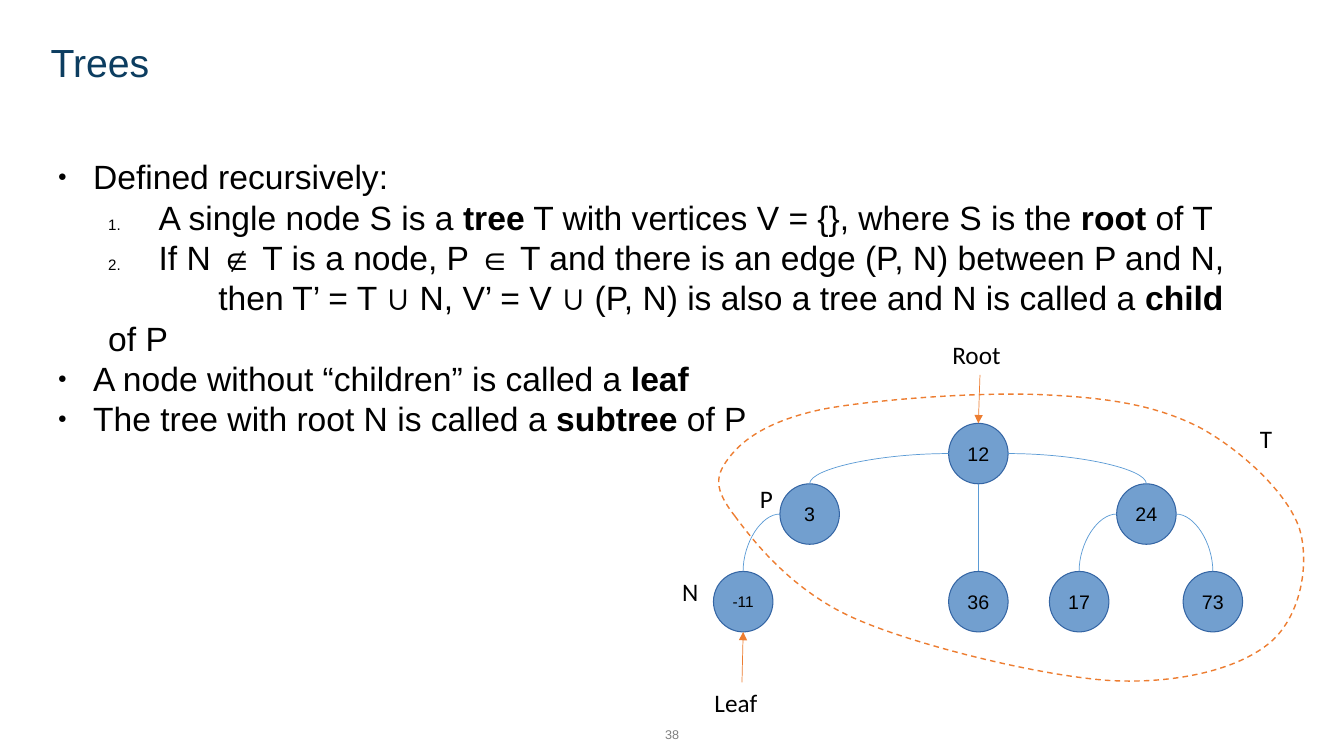
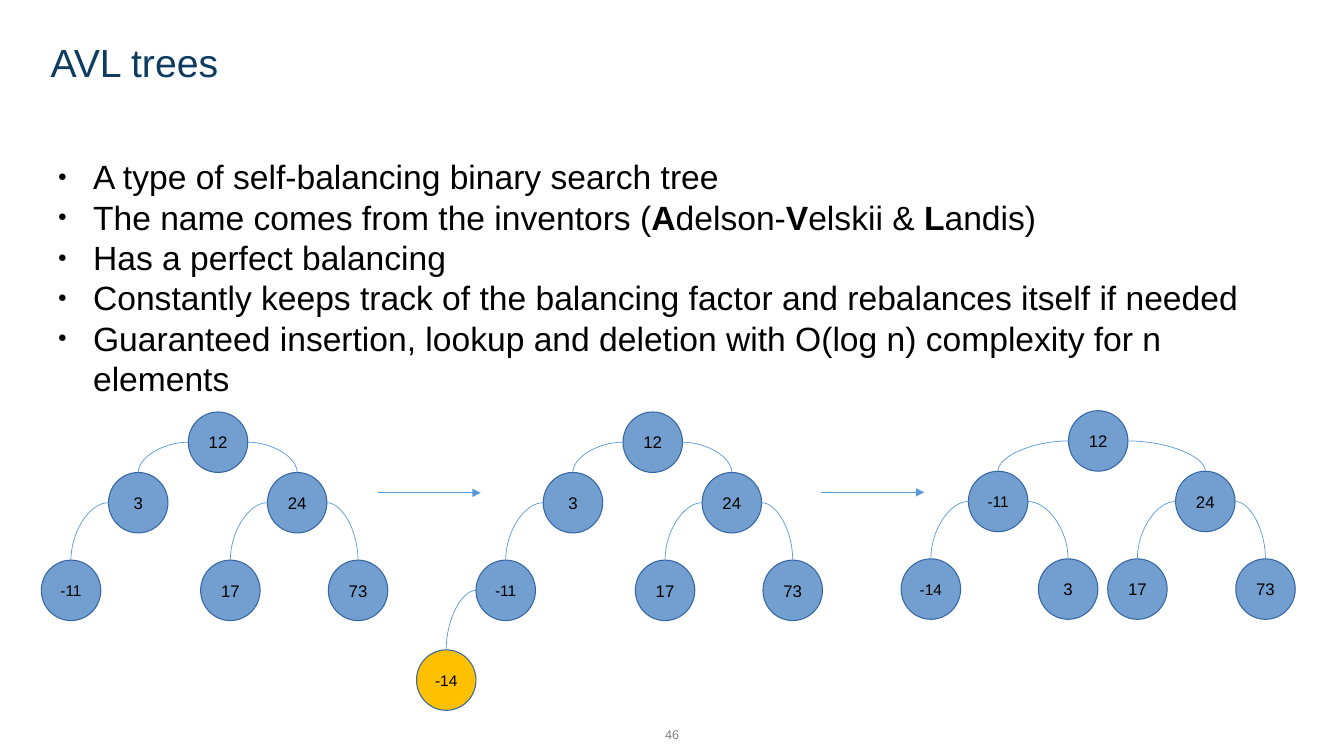
"""Build two slides on trees: the recursive definition and AVL rebalancing."""
from dataclasses import dataclass

from lxml.etree import SubElement
from pptx import Presentation
from pptx.dml.color import RGBColor
from pptx.enum.dml import MSO_LINE
from pptx.enum.shapes import MSO_CONNECTOR as LINK, MSO_SHAPE
from pptx.enum.text import MSO_ANCHOR as ANCHOR, PP_ALIGN as ALIGN
from pptx.oxml.ns import qn
from pptx.util import Pt


@dataclass(frozen=True)
class Theme:
    ink: str = "000000"
    title: str = "0C3D60"
    page: str = "7F7F7F"
    node: str = "729FCF"
    node_edge: str = "3465A4"
    added: str = "FFC000"
    branch: str = "5B9BD5"
    accent: str = "ED7D31"
    font: str = "Arial"
    label_font: str = "Calibri"
    title_size: float = 28
    body_size: float = 24
    body_pitch: float = 28.8
    label_size: float = 18
    page_size: float = 9
    negative_size: float = 11


THEME = Theme()
SLIDE_SIZE = (960, 540)
TITLE_BOX = (29.1, 14.4, 794.2, 63.4)
PAGE_BOX = (372.2, 510.5, 216, 28.8)
BODY_BOX = (29.1, 108, 864.7, 378)
NODE_WIDTH, NODE_HEIGHT = 42.5, 43.2
LEVEL_OFFSETS = (0, 43.2, 105.8, 169.9)
TOP, LEFT, BOTTOM, RIGHT = 0, 2, 4, 6

INDENTS = {"bullet": (33.8, -25.2), "number": (80.6, -36), "plain": (44.6, 78.7)}
MARKERS = {
    "bullet": ("a:buChar", {"char": "●"}),
    "number": ("a:buAutoNum", {"type": "arabicPeriod"}),
}

DEFINITION = [
    ("bullet", "Defined recursively:"),
    ("number", "A single node S is a **tree** T with vertices V = {}, where S is the **root **of T"),
    ("number", "If N ∉ T is a node, P ∈ T and there is an edge (P, N) between P and N,"),
    ("plain", "then T’ = T ∪ N, V’ = V ∪ (P, N) is also a tree and N is called a **child** of P"),
    ("bullet", "A node without “children” is called a **leaf**"),
    ("bullet", "The tree with root N is called a **subtree** of P"),
]
AVL_FACTS = [
    ("bullet", "A type of self-balancing binary search tree"),
    ("bullet", "The name comes from the inventors (**A**delson-**V**elskii & **L**andis)"),
    ("bullet", "Has a perfect balancing"),
    ("bullet", "Constantly keeps track of the balancing factor and rebalances itself if needed"),
    ("bullet", "Guaranteed insertion, lookup and deletion with O(log n) complexity for n elements"),
]

# value, x within the tree, level, parent
DEFINITION_TREE = [
    (12, 168, 0, None), (3, 47.5, 1, 12), (-11, 0, 2, 3), (36, 168, 2, 12),
    (24, 288, 1, 12), (17, 240, 2, 24), (73, 335.5, 2, 24),
]
START_TREE = [
    (12, 105, 0, None), (3, 48, 1, 12), (-11, 0, 2, 3),
    (24, 161.5, 1, 12), (17, 113.8, 2, 24), (73, 205, 2, 24),
]
INSERTED = -14
UNBALANCED_TREE = START_TREE + [(INSERTED, -42.5, 3, -11)]
BALANCED_TREE = [
    (12, 119.5, 0, None), (-11, 48, 1, 12), (-14, 0, 2, -11), (3, 98, 2, -11),
    (24, 196, 1, 12), (17, 147.5, 2, 24), (73, 239, 2, 24),
]
AVL_STEPS = [
    (START_TREE, 29.5, 294.3, None),
    (UNBALANCED_TREE, 340, 294.3, INSERTED),
    (BALANCED_TREE, 643.7, 293.4, None),
]
STEP_ARROWS = [((270, 352), (343.4, 352)), ((586.8, 351.7), (660.2, 351.7))]

LABELS = [
    ("N", (480.2, 408.2, 23.8, 25.2)),
    ("P", (535.7, 342, 23.8, 25.2)),
    ("T", (892.8, 298.8, 23.8, 25.2)),
    ("Leaf", (503.3, 487.4, 52.6, 28.8)),
    ("Root", (673.2, 239, 52.6, 28.8)),
]
POINTERS = [((530, 487.4), -11, BOTTOM), ((700, 267.8), 12, TOP)]

OUTLINE_START = (524.9, 368.6)
OUTLINE_CURVES = [
    ((539.3, 388.1), (566.6, 422.6), (611.3, 442.1)),
    ((655.9, 461.5), (742.3, 482.4), (791.3, 486)),
    ((840.2, 488.9), (883.4, 478.1), (905.8, 460.1)),
    ((928.8, 442.1), (936, 403.2), (928.1, 377.3)),
    ((919.4, 352.1), (887.8, 322.6), (858.2, 306)),
    ((828, 290.2), (794.9, 284.4), (749.5, 282.2)),
    ((704.9, 279.4), (625.7, 285.1), (587.5, 292.3)),
    ((550.1, 300.2), (531.4, 313.2), (521.3, 326.2)),
    ((510.5, 339.8), (509.8, 349.2), OUTLINE_START),
]


def rgb(code):
    return RGBColor.from_string(code)


def points(values):
    return [Pt(value) for value in values]


def mark(paragraph, kind):
    margin, indent = INDENTS[kind]
    props = paragraph._p.get_or_add_pPr()
    props.set("marL", str(Pt(margin)))
    props.set("indent", str(Pt(indent)))
    if kind != "bullet":
        props.set("lvl", "1")
    if kind in MARKERS:
        SubElement(SubElement(props, qn("a:buClr")), qn("a:srgbClr"), val=THEME.ink)
        SubElement(props, qn("a:buSzPct"), val="45000")
        SubElement(props, qn("a:buFont"), typeface=THEME.font)
        tag, attributes = MARKERS[kind]
        SubElement(props, qn(tag), **attributes)


def write(frame, content, *, size, color=THEME.ink, font=THEME.font, align=ALIGN.LEFT,
          anchor=ANCHOR.TOP, spacing=None, inset=None):
    frame.word_wrap = True
    frame.vertical_anchor = anchor
    if inset is not None:
        frame.margin_left = frame.margin_right = Pt(inset)
    lines = [(None, content)] if isinstance(content, str) else content
    for index, (kind, line) in enumerate(lines):
        paragraph = frame.add_paragraph() if index else frame.paragraphs[0]
        if kind:
            mark(paragraph, kind)
        paragraph.alignment = align
        paragraph.line_spacing = spacing
        for part, words in enumerate(line.split("**")):
            if words:
                run = paragraph.add_run()
                run.text = words
                run.font.name, run.font.size = font, Pt(size)
                run.font.bold = part % 2 == 1
                run.font.color.rgb = rgb(color)


def add_text(slide, box, content, **style):
    write(slide.shapes.add_textbox(*points(box)).text_frame, content, **style)


def add_base(deck, title, page, body):
    slide = deck.slides.add_slide(deck.slide_layouts[6])
    add_text(slide, TITLE_BOX, title, size=THEME.title_size, color=THEME.title,
             anchor=ANCHOR.MIDDLE, spacing=0.9)
    add_text(slide, PAGE_BOX, page, size=THEME.page_size, color=THEME.page,
             align=ALIGN.CENTER, anchor=ANCHOR.MIDDLE)
    add_text(slide, BODY_BOX, body, size=THEME.body_size,
             spacing=Pt(THEME.body_pitch), inset=3.6)
    return slide


def site(node, side):
    across = {LEFT: 0, RIGHT: 1}.get(side, 0.5)
    down = {TOP: 0, BOTTOM: 1}.get(side, 0.5)
    return node.left + int(node.width * across), node.top + int(node.height * down)


def connect(slide, start, end, *, color, curved=False, arrow=False, joins=()):
    link = slide.shapes.add_connector(LINK.CURVE if curved else LINK.STRAIGHT, *start, *end)
    link.line.color.rgb = rgb(color)
    link.line.width = Pt(0.5)
    props = link._element.spPr
    if curved:
        props.find(qn("a:prstGeom")).set("prst", "curvedConnector2")
    if arrow:
        SubElement(props.find(qn("a:ln")), qn("a:tailEnd"), type="triangle")
    SubElement(props, qn("a:effectLst"))
    ends = link._element.find(qn("p:nvCxnSpPr")).find(qn("p:cNvCxnSpPr"))
    for tag, node, side in joins:
        SubElement(ends, qn(tag), id=str(node.shape_id), idx=str(side))


def add_node(slide, value, x, y, fill, size):
    node = slide.shapes.add_shape(
        MSO_SHAPE.OVAL, *points((x, y, NODE_WIDTH, NODE_HEIGHT)))
    node.shadow.inherit = False
    node.fill.solid()
    node.fill.fore_color.rgb = rgb(fill)
    node.line.color.rgb = rgb(THEME.node_edge)
    node.line.width = Pt(0.75)
    write(node.text_frame, str(value), size=THEME.negative_size if value < 0 else size,
          align=ALIGN.CENTER, anchor=ANCHOR.MIDDLE, inset=2)
    return node


def add_tree(slide, tree, left, top, *, size, added=None):
    nodes = {}
    for value, x, level, parent in tree:
        fill = THEME.added if value == added else THEME.node
        child = add_node(slide, value, left + x, top + LEVEL_OFFSETS[level], fill, size)
        nodes[value] = child
        if parent is None:
            continue
        above = nodes[parent]
        if child.left == above.left:
            side = BOTTOM
        else:
            side = LEFT if child.left < above.left else RIGHT
        connect(slide, site(above, side), site(child, TOP), color=THEME.branch,
                curved=side != BOTTOM,
                joins=[("a:stCxn", above, side), ("a:endCxn", child, TOP)])
    return nodes


def round_segments(outline):
    route = next(outline._element.iter(qn("a:path")))
    segments = route.findall(qn("a:lnTo"))
    for first in range(0, len(segments), 3):
        curve = SubElement(route, qn("a:cubicBezTo"))
        for segment in segments[first:first + 3]:
            curve.append(segment[0])
            route.remove(segment)
    route.append(route.find(qn("a:close")))


def add_outline(slide):
    builder = slide.shapes.build_freeform(*points(OUTLINE_START), scale=1.0)
    builder.add_line_segments(
        [points(point) for curve in OUTLINE_CURVES for point in curve], close=True)
    outline = builder.convert_to_shape()
    round_segments(outline)
    outline.shadow.inherit = False
    outline.fill.background()
    outline.line.color.rgb = rgb(THEME.accent)
    outline.line.width = Pt(1)
    outline.line.dash_style = MSO_LINE.DASH


def add_definition_slide(deck):
    slide = add_base(deck, "Trees", "38", DEFINITION)
    nodes = add_tree(slide, DEFINITION_TREE, 509.6, 302.4, size=14)
    add_outline(slide)
    for label, box in LABELS:
        add_text(slide, box, label, size=THEME.label_size, font=THEME.label_font)
    for start, value, side in POINTERS:
        connect(slide, points(start), site(nodes[value], side), color=THEME.accent,
                arrow=True, joins=[("a:endCxn", nodes[value], side)])


def add_avl_slide(deck):
    slide = add_base(deck, "AVL trees", "46", AVL_FACTS)
    for tree, left, top, added in AVL_STEPS:
        add_tree(slide, tree, left, top, size=12, added=added)
    for start, end in STEP_ARROWS:
        connect(slide, points(start), points(end), color=THEME.branch, arrow=True)


def main():
    deck = Presentation()
    deck.slide_width, deck.slide_height = points(SLIDE_SIZE)
    add_definition_slide(deck)
    add_avl_slide(deck)
    deck.save("out.pptx")


if __name__ == "__main__":
    main()
